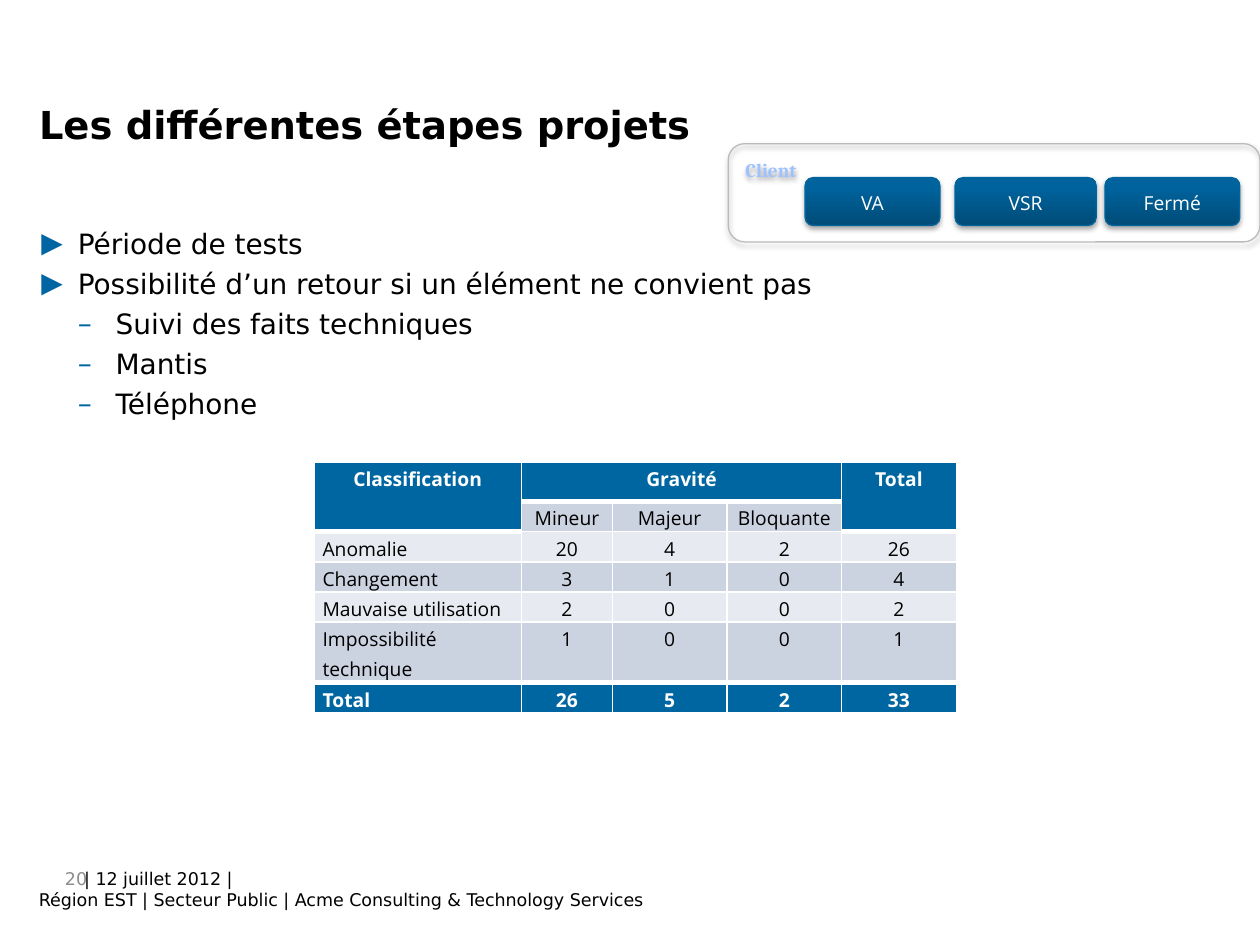
from lxml.etree import SubElement
from pptx import Presentation
from pptx.dml.color import RGBColor
from pptx.enum.shapes import MSO_SHAPE
from pptx.enum.text import MSO_ANCHOR, PP_ALIGN
from pptx.oxml import parse_xml
from pptx.oxml.ns import qn
from pptx.util import Inches, Pt

NS = 'xmlns:a="http://schemas.openxmlformats.org/drawingml/2006/main"'
W, H = Inches(10), Inches(7.5)
COL, ROW = W / 100, H / 100
C = {"black": "000000", "white": "FFFFFF", "grey": "8C8C8C", "frame": "BBBBBB",
     "client": "9EC1FF", "bullet": "0065A2", "edge": "00649D", "deep": "004C78",
     "blue": "00639D", "head": "0066A1", "dark_band": "CCD3E0", "light_band": "E7EAF0"}
SANS, OPEN, SERIF = "DejaVu Sans", "Open Sans", "Cambria"


def rgb(name):
    """Return a palette colour."""
    return RGBColor.from_string(C[name])


def grid(x, y, w, h):
    """Turn columns and rows of the slide grid into lengths."""
    return round(x * COL), round(y * ROW), round(w * COL), round(h * ROW)


def add_run(p, text, size, font=SANS, color="black", bold=False):
    """Append one formatted run."""
    r = p.add_run()
    r.text = text
    f = r.font
    f.size, f.name, f.bold = Pt(size), font, bold
    f.color.rgb = rgb(color)


def add_text_frame(s, box):
    """Add a wrapping text box and return its text frame."""
    tf = s.shapes.add_textbox(*grid(*box)).text_frame
    tf.word_wrap = True
    return tf


def add_shadow(sp, alpha, dist):
    """Give a shape a soft shadow that falls straight down."""
    sp.shadow.inherit = False
    effects = sp._element.spPr.find(qn("a:effectLst"))
    effects.append(parse_xml(
        f'<a:outerShdw {NS} blurRad="{Pt(3.1)}" dist="{Pt(dist)}" dir="5400000" '
        f'rotWithShape="0"><a:srgbClr val="{C["black"]}"><a:alpha val="{alpha * 1000}"/>'
        '</a:srgbClr></a:outerShdw>'))


def add_rounded(s, box, line, alpha, dist):
    """Add a rounded rectangle with an outline and a shadow."""
    sp = s.shapes.add_shape(MSO_SHAPE.ROUNDED_RECTANGLE, *grid(*box))
    sp.line.color.rgb = rgb(line)
    sp.line.width = Pt(0.75)
    add_shadow(sp, alpha, dist)
    return sp


def add_label(sp, text, anchor, align, **style):
    """Write the caption of a rounded rectangle."""
    tf = sp.text_frame
    tf.vertical_anchor = anchor
    p = tf.paragraphs[0]
    p.alignment, p.line_spacing, p.space_after = align, 1.15, Pt(10)
    add_run(p, text, 11, **style)


def add_title(s, box):
    """Place and fill the title placeholder."""
    sp = s.shapes.title
    sp.left, sp.top, sp.width, sp.height = grid(*box)
    sp.text_frame.vertical_anchor = MSO_ANCHOR.MIDDLE
    p = sp.text_frame.paragraphs[0]
    p.alignment = PP_ALIGN.LEFT
    add_run(p, "Les différentes étapes projets", 22, bold=True)


def add_footer(s, box):
    """Add the date, department line and slide number."""
    x, y, w, h = box
    tf = add_text_frame(s, box)
    p = tf.paragraphs[0]
    p._p.get_or_add_pPr().set("indent", str(round(3.6 * COL)))
    add_run(p, "| 12 juillet 2012 |", 10)
    add_run(tf.add_paragraph(),
            "Région EST | Secteur Public | Acme Consulting & Technology Services", 10)
    p = add_text_frame(s, (x + 0.7, y, 5.1, 5.33)).paragraphs[0]
    p.alignment = PP_ALIGN.RIGHT
    add_run(p, "20", 10, color="grey")


def add_client_panel(s, box):
    """Add the client frame with its evenly spaced steps."""
    x, y, _, _ = box
    panel = add_rounded(s, box, "frame", 38, 1.6)
    panel.fill.background()
    add_label(panel, "Client", MSO_ANCHOR.TOP, PP_ALIGN.LEFT,
              font=SERIF, color="client", bold=True)
    for i, (text, w) in enumerate([("VA", 10.7), ("VSR", 11.2), ("Fermé", 10.7)]):
        step = add_rounded(s, (x + 6.1 + 11.9 * i, y + 3.6, w, 5.07), "edge", 35, 1.8)
        step.fill.gradient()
        step.fill.gradient_angle = 90
        for stop, name, pos in zip(step.fill.gradient_stops, ("deep", "blue"), (0, 0.8)):
            stop.color.rgb = rgb(name)
            stop.position = pos
        add_label(step, text, MSO_ANCHOR.MIDDLE, PP_ALIGN.CENTER, font=OPEN, color="white")


def add_bullets(s, box):
    """Add the two-level bullet list."""
    levels = [("▶", 2.9, 2.9), ("–", 5.9, 3)]
    items = [(0, "Période de tests"),
             (0, "Possibilité d’un retour si un élément ne convient pas"),
             (1, "Suivi des faits techniques"), (1, "Mantis"), (1, "Téléphone")]
    tf = add_text_frame(s, box)
    for i, (level, text) in enumerate(items):
        p = tf.add_paragraph() if i else tf.paragraphs[0]
        p.level = level
        p.space_before = Pt(3.7 if i else 0)
        mark, margin, hang = levels[level]
        pPr = p._p.get_or_add_pPr()
        pPr.set("marL", str(round(margin * COL)))
        pPr.set("indent", str(round(-hang * COL)))
        color = SubElement(pPr, qn("a:buClr"))
        SubElement(color, qn("a:srgbClr"), val=C["bullet"])
        SubElement(pPr, qn("a:buFont"), typeface=SANS)
        SubElement(pPr, qn("a:buChar"), char=mark)
        add_run(p, text, 16)


def set_borders(cell, top, bottom):
    """Draw white cell borders of the given top and bottom widths."""
    tcPr = cell._tc.get_or_add_tcPr()
    for i, (side, width) in enumerate(zip("LRTB", (1, 1, top, bottom))):
        tcPr.insert(i, parse_xml(
            f'<a:ln{side} {NS} w="{Pt(width)}"><a:solidFill>'
            f'<a:srgbClr val="{C["white"]}"/></a:solidFill></a:ln{side}>'))


def add_severity_table(s, box):
    """Add the table of issues by class and severity."""
    rows = [("Classification", "Gravité", "", "", "Total"),
            ("", "Mineur", "Majeur", "Bloquante", ""),
            ("Anomalie", "20", "4", "2", "26"),
            ("Changement", "3", "1", "0", "4"),
            ("Mauvaise utilisation", "2", "0", "0", "2"),
            ("Impossibilité technique", "1", "0", "0", "1"),
            ("Total", "26", "5", "2", "33")]
    last = len(rows) - 1
    t = s.shapes.add_table(len(rows), 5, *grid(*box)).table
    t.first_row = t.horz_banding = False
    for column, w in zip(t.columns, (16.5, 7.2, 9.1, 9.1, 9.1)):
        column.width = round(w * COL)
    for row, h in zip(t.rows, (4.13, 3.2, 3.2, 3.2, 3.2, 6.4, 3.2)):
        row.height = round(h * ROW)
    for first, end in (((0, 0), (1, 0)), ((0, 1), (0, 3)), ((0, 4), (1, 4))):
        t.cell(*first).merge(t.cell(*end))
    for i, row in enumerate(rows):
        for j, text in enumerate(row):
            cell = t.cell(i, j)
            strong = i in (0, last) or (i == 1 and j in (0, 4))
            band = "dark_band" if i % 2 else "light_band"
            cell.fill.solid()
            cell.fill.fore_color.rgb = rgb("head" if strong else band)
            heading = strong and i < last
            set_borders(cell, 3 if i == last or (i == 1 and not heading) else 1,
                        3 if heading or i == last - 1 else 1)
            cell.margin_left = cell.margin_right = round(0.7 * COL)
            cell.margin_top = cell.margin_bottom = 0
            if text:
                p = cell.text_frame.paragraphs[0]
                p.alignment = PP_ALIGN.CENTER if j or i == 0 else PP_ALIGN.JUSTIFY
                p.line_spacing = 1.15
                add_run(p, text, 11, OPEN, "white" if strong else "black", strong)


def main():
    """Build and save the slide."""
    prs = Presentation()
    prs.slide_width, prs.slide_height = W, H
    s = prs.slides.add_slide(prs.slide_layouts[5])
    add_footer(s, (2.1, 91.2, 63, 5.87))
    add_client_panel(s, (57.8, 15.2, 42.2, 10.4))
    add_bullets(s, (2.3, 23.33, 95, 60.4))
    add_title(s, (2.1, 10.53, 95, 5.2))
    add_severity_table(s, (24.9, 48.93, 51, 26.53))
    prs.save("out.pptx")


if __name__ == "__main__":
    main()
